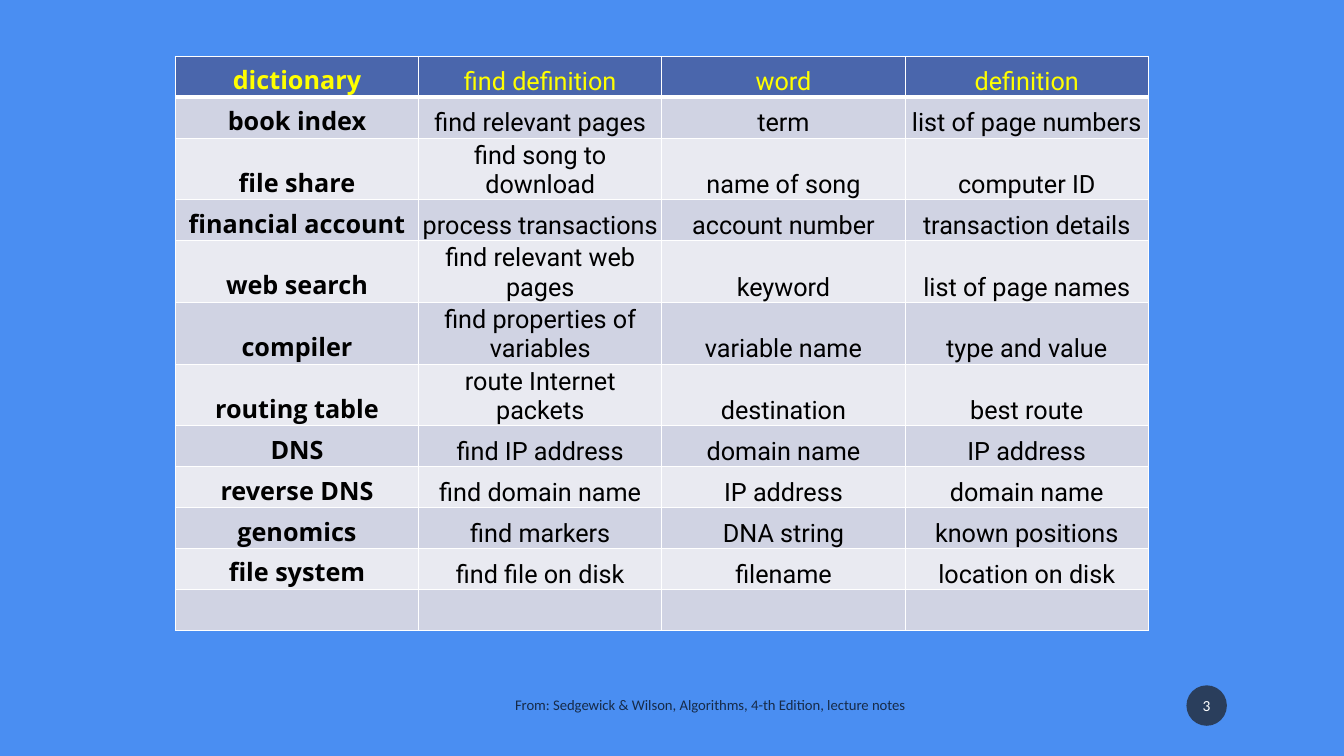
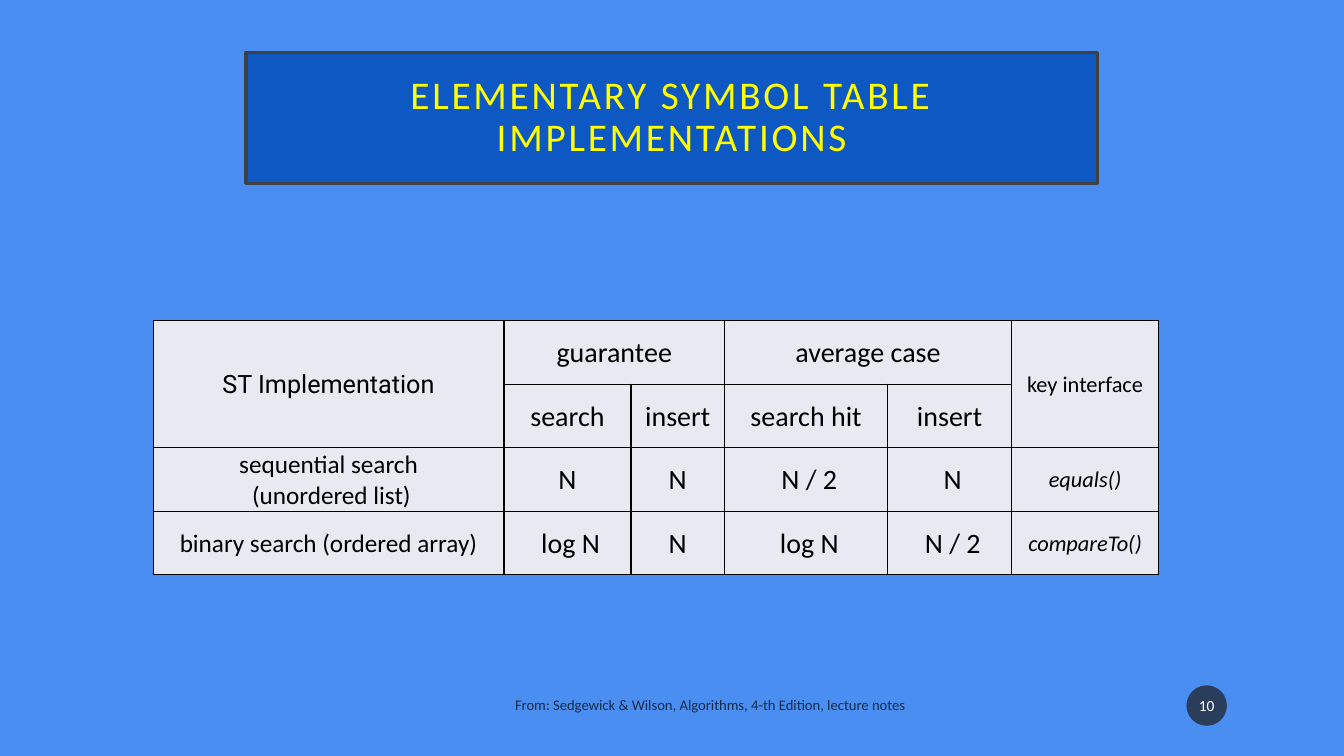
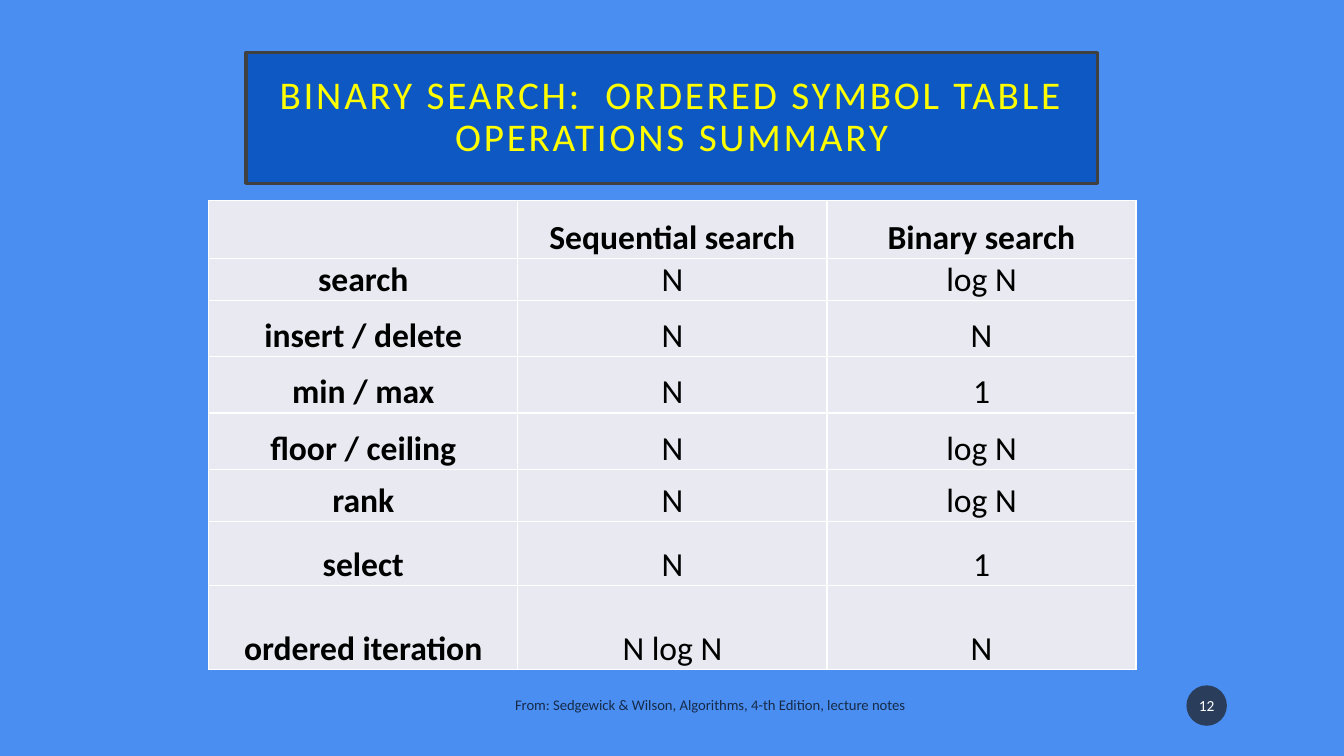
"""Build three lecture slides about symbol tables."""
import dataclasses

import lxml.etree
import pptx
import pptx.dml.color
import pptx.enum.shapes
import pptx.enum.text
import pptx.oxml.ns
import pptx.util

Cm = pptx.util.Cm
Pt = pptx.util.Pt
qn = pptx.oxml.ns.qn
ANCHOR = pptx.enum.text.MSO_ANCHOR
ALIGN = pptx.enum.text.PP_ALIGN


@dataclasses.dataclass(frozen=True)
class Theme:
    background: str = "4A8EF2"
    title_fill: str = "0E58C4"
    title_line: str = "404040"
    accent: str = "FFFF00"
    header: str = "4A66AC"
    band_dark: str = "D0D3E3"
    band_light: str = "E9EAF1"
    badge: str = "1D1D1D"
    black: str = "000000"
    white: str = "FFFFFF"
    body_font: str = "Calibri"
    key_font: str = "Open Sans"
    value_font: str = "Roboto"
    title_size: float = 28
    large_size: float = 24
    medium_size: float = 20
    normal_size: float = 18
    small_size: float = 16
    badge_size: float = 11
    footer_size: float = 10.5
    opacity: int = 70


def rgb(value):
    return pptx.dml.color.RGBColor.from_string(value)


def assign(target, **values):
    for name, value in values.items():
        setattr(target, name, value)


def fill_solid(fill, color):
    fill.solid()
    fill.fore_color.rgb = rgb(color)


class SlideBuilder:
    TITLE_ONLY, BLANK = 5, 6
    FOOTER = "From: Sedgewick & Wilson, Algorithms, 4-th Edition, lecture notes"

    def __init__(self, theme):
        self.theme = theme
        self.deck = pptx.Presentation()
        assign(self.deck, slide_width=Cm(33.87), slide_height=Cm(19.05))
        fill_solid(self.deck.slide_master.background.fill, theme.background)
        self.page = None

    def start(self, number, title=None):
        layout = self.TITLE_ONLY if title else self.BLANK
        self.page = self.deck.slides.add_slide(self.deck.slide_layouts[layout])
        if title:
            self.title(title)
        self.footer()
        self.badge(number)

    def put_text(self, frame, text, align, size, color, **font):
        frame.text = text
        for para in frame.paragraphs:
            para.alignment = align
            for span in para.runs:
                assign(span.font, size=Pt(size), **{"name": self.theme.body_font, **font})
                span.font.color.rgb = rgb(color)

    def fade(self, element):
        for color in element.iter(qn("a:srgbClr")):
            alpha = lxml.etree.SubElement(color, qn("a:alpha"))
            alpha.set("val", str(self.theme.opacity * 1000))

    def title(self, text):
        theme = self.theme
        box = self.page.shapes.title
        assign(box, left=Cm(6.2), top=Cm(1.32), width=Cm(21.46), height=Cm(3.3))
        fill_solid(box.fill, theme.title_fill)
        fill_solid(box.line.fill, theme.title_line)
        box.line.width = Pt(2.5)
        frame = box.text_frame
        inset = Cm(0.51)
        assign(frame, margin_left=inset, margin_top=inset, margin_right=inset,
               margin_bottom=inset, word_wrap=True, vertical_anchor=ANCHOR.MIDDLE,
               auto_size=pptx.enum.text.MSO_AUTO_SIZE.NONE)
        self.put_text(frame, text, ALIGN.CENTER, theme.title_size, theme.accent)
        para = frame.paragraphs[0]
        para.line_spacing = 0.9
        para.runs[0]._r.get_or_add_rPr().set("spc", "200")

    def footer(self):
        theme = self.theme
        box = self.page.shapes.add_textbox(Cm(12.73), Cm(17.32), Cm(11.28), Cm(0.89))
        assign(box.text_frame, word_wrap=True, vertical_anchor=ANCHOR.MIDDLE)
        self.put_text(box.text_frame, self.FOOTER, ALIGN.LEFT, theme.footer_size, theme.black)
        self.fade(box._element)

    def badge(self, number):
        theme = self.theme
        oval = pptx.enum.shapes.MSO_SHAPE.OVAL
        badge = self.page.shapes.add_shape(oval, Cm(29.9), Cm(17.27), Cm(1.02), Cm(1.02))
        badge.shadow.inherit = False
        fill_solid(badge.fill, theme.badge)
        self.fade(badge._element.spPr)
        badge.line.fill.background()
        assign(badge.text_frame, margin_left=Cm(0.05), margin_right=Cm(0.05),
               vertical_anchor=ANCHOR.MIDDLE)
        self.put_text(badge.text_frame, str(number), ALIGN.CENTER, theme.badge_size,
                      theme.white)

    def border(self, cell, color, **widths):
        properties = cell._tc.get_or_add_tcPr()
        for side in "LRTB":
            line = lxml.etree.SubElement(properties, qn(f"a:ln{side}"))
            line.set("w", str(int(Pt(widths.get(side, 1)))))
            solid = lxml.etree.SubElement(line, qn("a:solidFill"))
            lxml.etree.SubElement(solid, qn("a:srgbClr")).set("val", color)

    def table(self, left, top, widths, heights, rows, style, fills, line,
              anchor=ANCHOR.BOTTOM, merges=(), header_rule=1):
        frame = self.page.shapes.add_table(len(rows), len(widths), Cm(left), Cm(top),
                                           Cm(sum(widths)), Cm(sum(heights)))
        grid = frame.table
        assign(grid, first_row=False, horz_banding=False)
        for column, width in zip(grid.columns, widths):
            column.width = Cm(width)
        for row, height in zip(grid.rows, heights):
            row.height = Cm(height)
        for r, texts in enumerate(rows):
            for c, text in enumerate(texts):
                cell = grid.cell(r, c)
                edges = {0: {"B": header_rule}, 1: {"T": header_rule}}.get(r, {})
                self.border(cell, line, **edges)
                fill_solid(cell.fill, fills[r])
                assign(cell, margin_left=Cm(0.03), margin_top=Cm(0.03),
                       margin_right=Cm(0.03), margin_bottom=0, vertical_anchor=anchor)
                if text:
                    self.put_text(cell.text_frame, text, ALIGN.CENTER, **style(r, c))
        for first, last in merges:
            grid.cell(*first).merge(grid.cell(*last))


theme = Theme()
slides = SlideBuilder(theme)


def application_style(row, column):
    return {
        "size": theme.normal_size,
        "color": theme.black if row else theme.accent,
        "name": theme.value_font if column else theme.key_font,
        "bold": column == 0,
    }


applications = [
    ("dictionary", "find definition", "word", "definition"),
    ("book index", "find relevant pages", "term", "list of page numbers"),
    ("file share", "find song to download", "name of song", "computer ID"),
    ("financial account", "process transactions", "account number", "transaction details"),
    ("web search", "find relevant web pages", "keyword", "list of page names"),
    ("compiler", "find properties of variables", "variable name", "type and value"),
    ("routing table", "route Internet packets", "destination", "best route"),
    ("DNS", "find IP address", "domain name", "IP address"),
    ("reverse DNS", "find domain name", "IP address", "domain name"),
    ("genomics", "find markers", "DNA string", "known positions"),
    ("file system", "find file on disk", "filename", "location on disk"),
    ("", "", "", ""),
]
bands = [theme.band_light, theme.band_dark]
slides.start(3)
slides.table(4.42, 1.42, [6.13] * 4, [1.03] * len(applications), applications,
             application_style,
             [theme.header] + [bands[r % 2] for r in range(1, len(applications))],
             theme.white, header_rule=3)


def implementation_style(row, column):
    size = theme.medium_size
    if column == 0:
        size = theme.normal_size
    elif column == 5:
        size = theme.small_size
    return {
        "size": size,
        "color": theme.black,
        "name": theme.value_font if row == column == 0 else theme.body_font,
        "italic": column == 5 and row > 1,
    }


implementations = [
    ("ST Implementation", "guarantee", "", "average case", "", "key interface"),
    ("", "search", "insert", "search hit", "insert", ""),
    ("sequential search\n (unordered list)", "N", "N", "\u00a0N / 2", "\u00a0N", "equals()"),
    ("binary search (ordered array)", "\u00a0log N", "N", "\u00a0log N", "\u00a0N / 2",
     "compareTo()"),
]
slides.start(10, "ELEMENTARY SYMBOL TABLE IMPLEMENTATIONS")
slides.table(3.86, 8.08, [8.84, 3.2, 2.36, 4.11, 3.12, 3.71], [1.6] * 4, implementations,
             implementation_style, [theme.band_light] * 4, theme.black, ANCHOR.MIDDLE,
             merges=[((0, 0), (1, 0)), ((0, 1), (0, 2)), ((0, 3), (0, 4)), ((0, 5), (1, 5))])


def operation_style(row, column):
    return {
        "size": theme.large_size,
        "color": theme.black,
        "bold": row == 0 or column == 0,
    }


operations = [
    ("", "Sequential search", "Binary search"),
    ("search", "N", "log N"),
    ("insert / delete", "N", "N"),
    ("min / max", "N", "1"),
    ("floor / ceiling", "N", "log N"),
    ("rank", "N", "log N"),
    ("select", "N", "1"),
    ("ordered iteration", "N log N", "N"),
]
slides.start(12, "BINARY SEARCH:\u00a0 ORDERED SYMBOL TABLE OPERATIONS SUMMARY")
slides.table(5.26, 5.05, [7.79] * 3, [1.47, 0.86, 1.42, 1.42, 1.42, 1.32, 1.6, 2.13],
             operations, operation_style, [theme.band_light] * len(operations), theme.white)

slides.deck.save("out.pptx")
